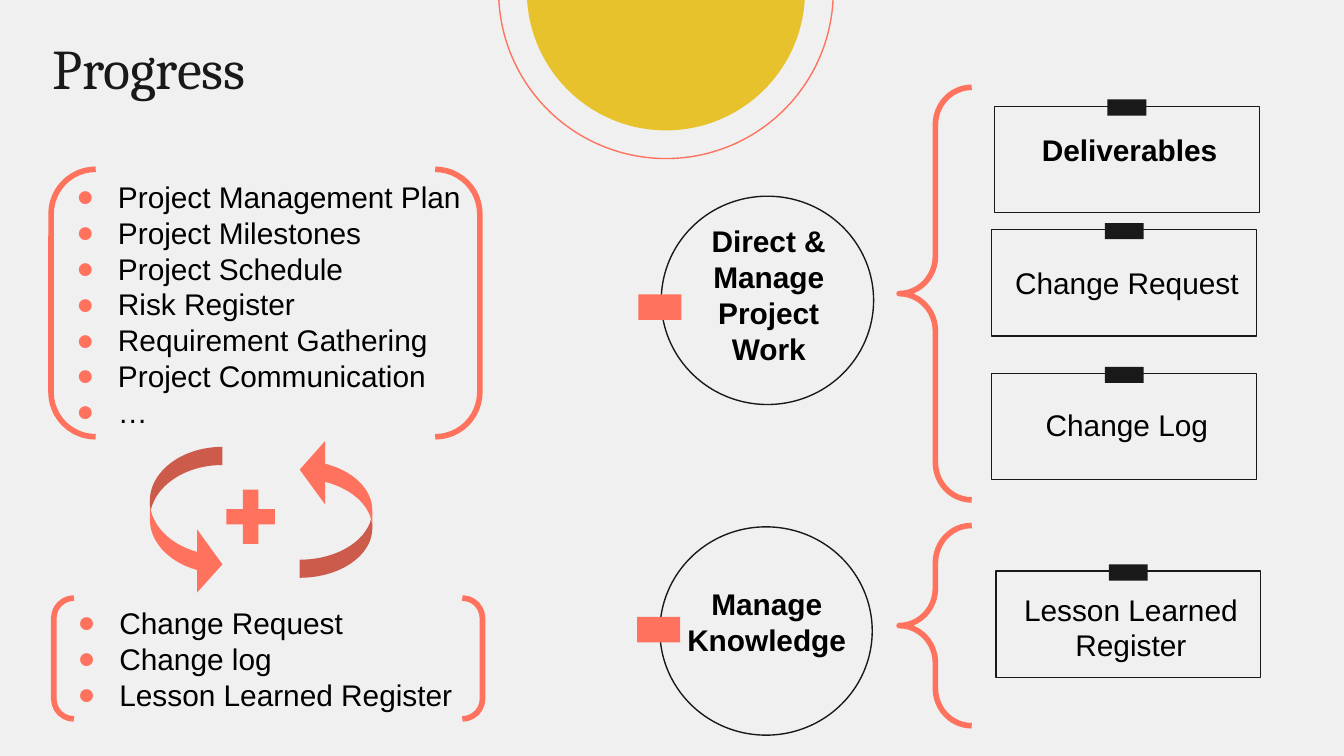
from dataclasses import dataclass
from lxml.etree import SubElement
from pptx import Presentation
from pptx.dml.color import RGBColor as Color
from pptx.enum.shapes import MSO_SHAPE as Kind
from pptx.enum.text import PP_ALIGN as Align
from pptx.oxml.ns import qn
from pptx.util import Inches, Pt


@dataclass(frozen=True)
class Theme:
    back: str = "F0F0F0"
    coral: str = "FF725E"
    gold: str = "E7C22C"
    ink: str = "191919"
    black: str = "000000"
    serif: str = "Cambria"
    sans: str = "Arial"
    head: int = 30
    body: int = 16
    thin: float = 0.75
    thick: float = 3
    cell: float = 0.1


class Deck:
    def __init__(self, theme, cols, rows):
        self.theme = theme
        self.file = Presentation()
        self.file.slide_width = self.grid(cols)
        self.file.slide_height = self.grid(rows)
        self.slide = self.file.slides.add_slide(self.file.slide_layouts[6])
        fill = self.slide.background.fill
        fill.solid()
        fill.fore_color.rgb = Color.from_string(theme.back)

    def grid(self, count):
        return Inches(count * self.theme.cell)

    def shape(self, kind, box, fill=None, line=None, width=None, turn=0, flip=None, adjust=()):
        item = self.slide.shapes.add_shape(kind, *map(self.grid, box))
        item.shadow.inherit = False
        item.rotation = turn
        for index, value in enumerate(adjust):
            item.adjustments[index] = value
        if flip:
            item._element.spPr.xfrm.set(flip, "1")
        if fill:
            item.fill.solid()
            item.fill.fore_color.rgb = Color.from_string(fill)
        else:
            item.fill.background()
        if line:
            item.line.color.rgb = Color.from_string(line)
            item.line.width = Pt(width or self.theme.thin)
        else:
            item.line.fill.background()

    def text(self, box, words, size=None, font=None, color=None, bold=False, align=Align.CENTER, inset=None):
        theme = self.theme
        frame = self.slide.shapes.add_textbox(*map(self.grid, box)).text_frame
        frame.word_wrap = True
        if inset:
            frame.margin_top = frame.margin_bottom = self.grid(inset)
        frame.text = words
        for para in frame.paragraphs:
            para.alignment = align
            for run in para.runs:
                run.font.size = Pt(size or theme.body)
                run.font.name = font or theme.sans
                run.font.bold = bold
                run.font.color.rgb = Color.from_string(color or theme.black)
        return frame

    def title(self, box, words):
        theme = self.theme
        self.text(box, words, theme.head, theme.serif, theme.ink, align=Align.LEFT, inset=1)

    def list(self, box, frame, items):
        theme = self.theme
        for para in self.text(box, "\n".join(items), align=Align.LEFT).paragraphs:
            props = para._p.get_or_add_pPr()
            props.set("marL", str(self.grid(3.1)))
            props.set("indent", str(-self.grid(3.1)))
            tint = SubElement(props, qn("a:buClr"))
            SubElement(tint, qn("a:srgbClr")).set("val", theme.coral)
            SubElement(props, qn("a:buFont")).set("typeface", theme.sans)
            SubElement(props, qn("a:buChar")).set("char", "●")
        self.shape(Kind.DOUBLE_BRACKET, frame, line=theme.coral, width=theme.thick)

    def arrow(self, box, flip):
        self.shape(Kind.CURVED_DOWN_ARROW, box, self.theme.coral, turn=270, flip=flip,
                   adjust=(0.25, 0.871, 0.349))

    def brace(self, top, height):
        self.shape(Kind.LEFT_BRACE, (66.9, top, 5.4, height), line=self.theme.coral,
                   width=self.theme.thick, adjust=(0.514, 0.5))

    def node(self, left, top, tab, box, words):
        frame = self.text(box, words, bold=True)
        frame.paragraphs[0]._p.get_or_add_pPr().set("marL", str(self.grid(1.7)))
        self.shape(Kind.OVAL, (left, top, 15.8, 15.5), line=self.theme.ink)
        self.shape(Kind.RECTANGLE, (left - 1.7, top + tab, 3.2, 1.9), self.theme.coral)

    def card(self, left, top, drop, words, bold=False):
        self.shape(Kind.RECTANGLE, (left, top, 19.7, 7.9), line=self.theme.ink)
        self.shape(Kind.RECTANGLE, (left + 8.4, top - 0.5, 2.9, 1.2), self.theme.ink)
        self.text((left - 0.25, top + drop, 20.6, 3.7), words, bold=bold)


def main():
    theme = Theme()
    deck = Deck(theme, 100, 56.25)
    deck.shape(Kind.OVAL, (37.1, -13.1, 24.9, 24.9), line=theme.coral, turn=237.2)
    deck.shape(Kind.OVAL, (39.2, -11, 20.7, 20.7), theme.gold)
    deck.title((2.9, 1.5, 96.5, 6.3), "Progress")

    deck.list((4.7, 12.8, 30.7, 19.9), (3.8, 12.6, 31.9, 19.9),
              ["Project Management Plan", "Project Milestones", "Project Schedule", "Risk Register",
               "Requirement Gathering", "Project Communication", "…"])
    deck.shape(Kind.MATH_PLUS, (16.2, 35.7, 4.9, 5.5), theme.coral)
    deck.arrow((19.8, 35.1, 10.4, 5.4), "flipV")
    deck.arrow((8.3, 36.1, 11.1, 5.4), "flipH")
    deck.list((4.8, 44.5, 31.9, 9.1), (4, 44.5, 31.9, 9),
              ["Change Request", "Change log", "Lesson Learned Register"])

    deck.node(49.2, 14.6, 7.3, (49, 16.1, 14.7, 11.8), "Direct & Manage Project Work")
    deck.node(49.1, 39.2, 6.7, (47.5, 43.1, 17.4, 6.4), "Manage Knowledge")
    deck.brace(6.5, 30.7)
    deck.brace(39.1, 14.9)

    deck.card(74, 7.9, 1.4, "Deliverables", bold=True)
    deck.card(73.8, 17.1, 2.1, "Change Request")
    deck.card(73.8, 27.8, 2, "Change Log")
    deck.card(74.1, 42.5, 1, "Lesson Learned Register")
    deck.file.save("out.pptx")


if __name__ == "__main__":
    main()
